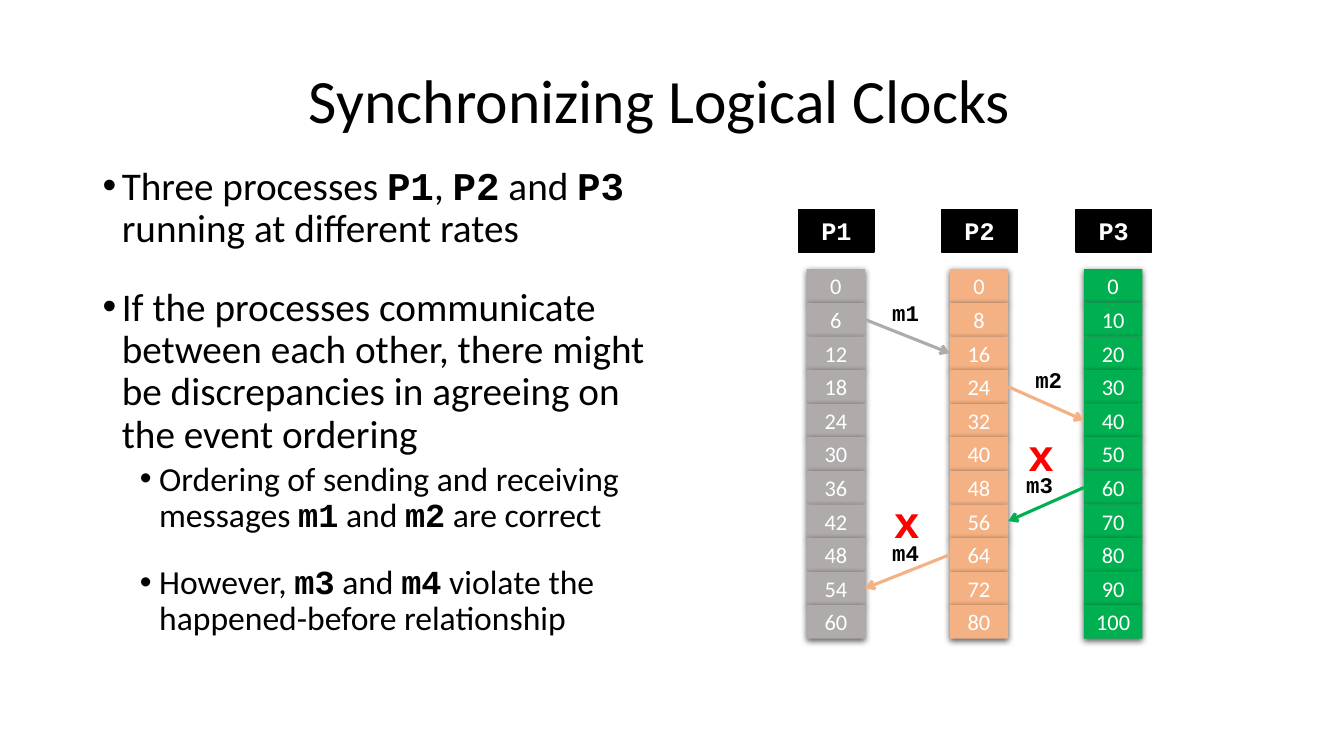
import pptx
import pptx.dml.color
import pptx.enum.shapes
import pptx.enum.text
import pptx.oxml
import pptx.oxml.ns
import pptx.util

Inches = pptx.util.Inches
Pt = pptx.util.Pt
CENTER = pptx.enum.text.PP_ALIGN.CENTER
MIDDLE = pptx.enum.text.MSO_ANCHOR.MIDDLE

COLORS = {
    "black": "000000",
    "white": "FFFFFF",
    "red": "FF0000",
    "P1": "AFABAB",
    "P2": "F4B183",
    "P3": "00B050",
}
FORMATS = {
    "title": {"name": "Calibri", "size": Pt(44)},
    "point": {"name": "Calibri", "size": Pt(28)},
    "subpoint": {"name": "Calibri", "size": Pt(24)},
    "tick": {"name": "Calibri", "size": Pt(16)},
    "header": {"name": "Courier New", "size": Pt(18), "bold": True},
    "label": {"name": "Courier New", "size": Pt(16), "bold": True},
    "cross": {"name": "Arial", "size": Pt(32), "bold": True},
}
CODE = {"name": "Courier New", "bold": True}

# Text between asterisks is set as code; the last value is the space before.
BULLETS = [
    (0, "Three processes *P1*, *P2* and *P3* running at different rates", 0),
    (0, "If the processes communicate between each other, there might be "
        "discrepancies in agreeing on the event ordering", 26),
    (1, "Ordering of sending and receiving messages *m1* and *m2* are correct", 3.8),
    (1, "However, *m3* and *m4* violate the happened-before relationship", 22),
]
PROCESSES = {"P1": (8, 6), "P2": (9.42, 8), "P3": (10.75, 10)}
MESSAGES = [
    ("m1", "P1", "P2", 1, 8.75, 2.92, False),
    ("m2", "P2", "P3", 3, 10.17, 3.58, False),
    ("m3", "P3", "P2", 6, 10.08, 4.63, True),
    ("m4", "P2", "P1", 8, 8.75, 5.3, True),
]
TICKS = 11
CLOCK_TOP = 2.67
ROW_HEIGHT = 1 / 3
CLOCK_WIDTH = 0.58


def assign(target, values):
    """Set every attribute named in values."""
    for name, value in values.items():
        setattr(target, name, value)


def rgb(color):
    """Look up a named colour."""
    return pptx.dml.color.RGBColor.from_string(COLORS[color])


def add_xml(parent, markup):
    """Append DrawingML markup, given without its namespace, to parent."""
    tag, rest = markup[1:].split(" ", 1)
    namespace = pptx.oxml.ns.nsdecls("a")
    parent.append(pptx.oxml.parse_xml(f"<{tag} {namespace} {rest}"))


class ClockSlide:
    """Draws the elements of one slide in a shared style."""

    def __init__(self, presentation):
        """Add a title-only slide."""
        self.slide = presentation.slides.add_slide(presentation.slide_layouts[5])
        self.shapes = self.slide.shapes

    def place(self, shape, left, top, width, height):
        """Move and size a shape in inches."""
        assign(shape, {"left": Inches(left), "top": Inches(top),
                       "width": Inches(width), "height": Inches(height)})

    def add_runs(self, paragraph, text, style, color):
        """Add runs, setting text between asterisks as code."""
        for index, piece in enumerate(text.split("*")):
            run = paragraph.add_run()
            run.text = piece
            assign(run.font, FORMATS[style])
            if index % 2:
                assign(run.font, CODE)
            run.font.color.rgb = rgb(color)

    def title(self, text, *box):
        """Fill the title placeholder."""
        shape = self.shapes.title
        self.place(shape, *box)
        shape.text_frame.vertical_anchor = MIDDLE
        paragraph = shape.text_frame.paragraphs[0]
        assign(paragraph, {"alignment": CENTER, "line_spacing": 0.9})
        self.add_runs(paragraph, text, "title", "black")

    def bullets(self, items, *box):
        """Add a bulleted list."""
        frame = self.shapes.add_textbox(*map(Inches, box)).text_frame
        frame.word_wrap = True
        for index, (level, text, before) in enumerate(items):
            paragraph = frame.add_paragraph() if index else frame.paragraphs[0]
            properties = paragraph._p.get_or_add_pPr()
            properties.set("marL", str(Inches((0.19, 0.56)[level])))
            properties.set("indent", str(Inches(-0.19)))
            add_xml(properties, '<a:buFont typeface="Arial"/>')
            add_xml(properties, '<a:buChar char="•"/>')
            assign(paragraph, {"level": level, "line_spacing": 0.9,
                               "space_before": Pt(before)})
            self.add_runs(paragraph, text, ("point", "subpoint")[level], "black")

    def block(self, text, style, color, *box):
        """Add a filled rectangle with centred white text."""
        rectangle = pptx.enum.shapes.MSO_SHAPE.RECTANGLE
        shape = self.shapes.add_shape(rectangle, *map(Inches, box))
        shape.shadow.inherit = False
        shape.fill.solid()
        shape.fill.fore_color.rgb = rgb(color)
        shape.line.fill.background()
        assign(shape.text_frame, {"margin_left": 0, "margin_right": 0, "margin_top": 0,
                                  "margin_bottom": 0, "vertical_anchor": MIDDLE})
        paragraph = shape.text_frame.paragraphs[0]
        paragraph.alignment = CENTER
        self.add_runs(paragraph, text, style, "white")
        return shape

    def header(self, text, *box):
        """Add an outlined process name."""
        shape = self.block(text, "header", "black", *box)
        shape.line.color.rgb = rgb("black")
        shape.line.width = Pt(1)

    def tick(self, text, color, *box):
        """Add one clock value with a soft shadow."""
        shape = self.block(text, "tick", color, *box)
        effects = shape._element.spPr.find(pptx.oxml.ns.qn("a:effectLst"))
        add_xml(effects, '<a:outerShdw blurRad="57150" dist="19050" dir="5400000" '
                         'algn="ctr" rotWithShape="0"><a:srgbClr val="000000">'
                         '<a:alpha val="63000"/></a:srgbClr></a:outerShdw>')

    def label(self, text, style, color, alignment, *box):
        """Add a short text box."""
        frame = self.shapes.add_textbox(*map(Inches, box)).text_frame
        frame.word_wrap = True
        frame.paragraphs[0].alignment = alignment
        self.add_runs(frame.paragraphs[0], text, style, color)

    def arrow(self, color, *ends):
        """Add an arrow between two points."""
        straight = pptx.enum.shapes.MSO_CONNECTOR.STRAIGHT
        connector = self.shapes.add_connector(straight, *map(Inches, ends))
        connector.line.color.rgb = rgb(color)
        connector.line.width = Pt(2.25)
        add_xml(connector.line._get_or_add_ln(), '<a:tailEnd type="arrow"/>')
        add_xml(connector._element.spPr, "<a:effectLst />")


def main():
    """Build and save the slide."""
    presentation = pptx.Presentation()
    assign(presentation, {"slide_width": Inches(13.33), "slide_height": Inches(7.5)})
    slide = ClockSlide(presentation)
    slide.title("Synchronizing Logical Clocks", 1.92, 0.3, 9.25, 1.45)
    slide.bullets(BULLETS, 0.92, 1.6, 5.58, 5.42)

    for process, (left, rate) in PROCESSES.items():
        for row in range(TICKS):
            slide.tick(str(row * rate), process, left, CLOCK_TOP + row * ROW_HEIGHT,
                       CLOCK_WIDTH, ROW_HEIGHT)
        slide.header(process, left - 0.08, 2.08, 0.75, 0.42)

    for name, sender, receiver, row, left, top, violates in MESSAGES:
        start, end = PROCESSES[sender][0], PROCESSES[receiver][0]
        if start < end:
            start += CLOCK_WIDTH
        else:
            end += CLOCK_WIDTH
        sent = CLOCK_TOP + (row + 0.5) * ROW_HEIGHT
        slide.arrow(sender, start, sent, end, sent + ROW_HEIGHT)
        slide.label(name, "label", "black", None, left, top, 0.58, 0.37)
        if violates:
            slide.label("x", "cross", "red", CENTER, left - 0.01, top - 0.45, 0.51, 0.64)

    presentation.save("out.pptx")


if __name__ == "__main__":
    main()
